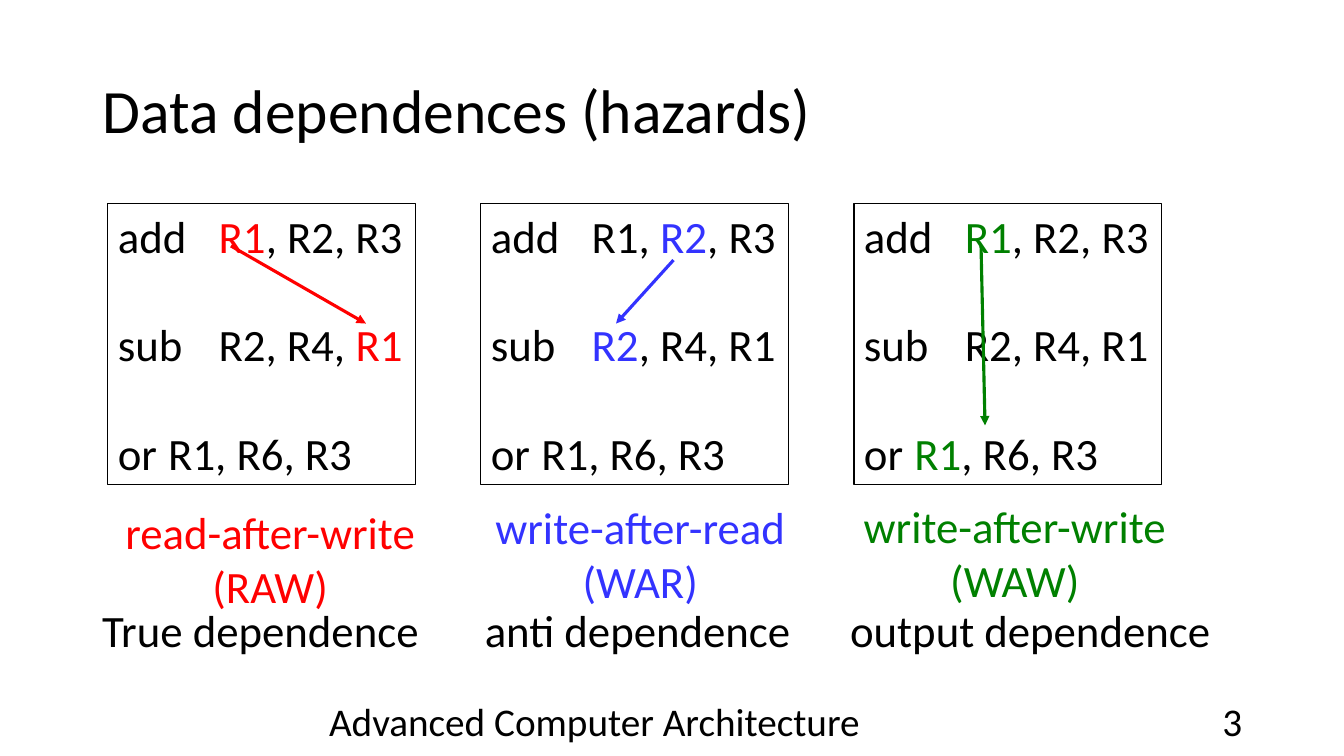
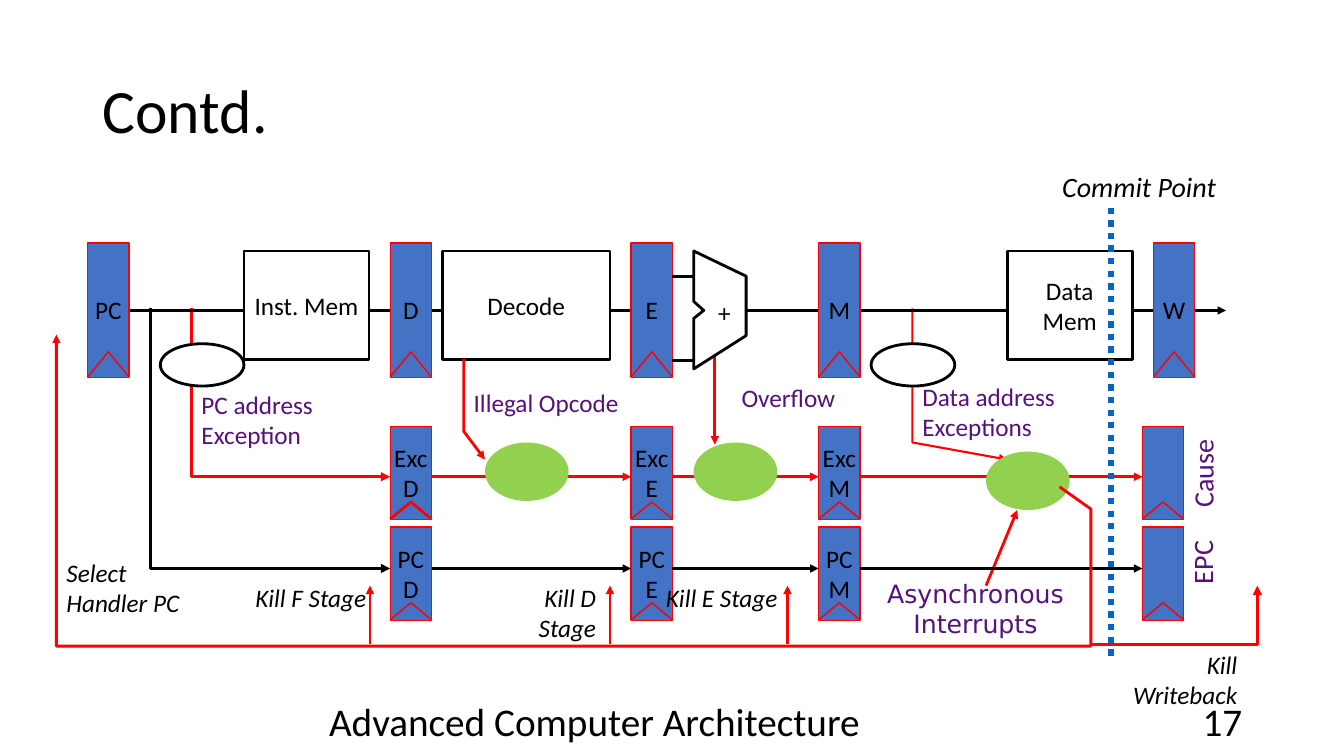
from lxml.etree import SubElement
from pptx import Presentation
from pptx.dml.color import RGBColor
from pptx.enum.dml import MSO_LINE
from pptx.enum.shapes import MSO_CONNECTOR, MSO_SHAPE
from pptx.enum.text import MSO_ANCHOR, PP_ALIGN
from pptx.oxml.ns import qn
from pptx.util import Inches, Pt

HUES = {
    "black": "000000",
    "white": "FFFFFF",
    "red": "FF0000",
    "blue": "3333FF",
    "green": "008000",
    "steel": "4472C4",
    "lime": "92D050",
    "plum": "56127A",
    "commit": "0563C1",
}
SIDES = {"l": PP_ALIGN.LEFT, "c": PP_ALIGN.CENTER, "r": PP_ALIGN.RIGHT}


def put(page, box, text="", size=18, hue="black", side="c", mid=False, wrap=False,
        slant=False, face="Calibri", mark="red", gap=0, kind=None, fill=None,
        edge=None, thick=1):
    spot = [Inches(n) for n in box]
    if kind is None:
        shape = page.shapes.add_textbox(*spot)
    else:
        shape = page.shapes.add_shape(kind, *spot)
        shape.shadow.inherit = False
        if fill:
            shape.fill.solid()
            shape.fill.fore_color.rgb = RGBColor.from_string(HUES[fill])
        else:
            shape.fill.background()
        if edge:
            shape.line.color.rgb = RGBColor.from_string(HUES[edge])
            shape.line.width = Pt(thick)
        else:
            shape.line.fill.background()
    frame = shape.text_frame
    frame.word_wrap = wrap
    frame.vertical_anchor = MSO_ANCHOR.MIDDLE if mid else MSO_ANCHOR.TOP
    frame.text = text.replace("|", "")
    for row, (para, line) in enumerate(zip(frame.paragraphs, text.split("\n"))):
        para.alignment = SIDES[side]
        if row and gap:
            para.space_before = Pt(gap)
        if "|" in line:
            para.clear()
            for piece in line.split("|"):
                para.add_run().text = piece
        for n, run in enumerate(para.runs):
            font = run.font
            font.name, font.size, font.italic = face, Pt(size), slant
            font.color.rgb = RGBColor.from_string(HUES[mark if n % 2 else hue])
    return shape


def draw(page, spots, hue, thick=2, arrow=False, fill=None, close=False, dash=None):
    spots = [(Inches(x), Inches(y)) for x, y in spots]
    if len(spots) == 2:
        shape = page.shapes.add_connector(MSO_CONNECTOR.STRAIGHT, *spots[0], *spots[1])
    else:
        form = page.shapes.build_freeform(*spots[0], scale=1.0)
        form.add_line_segments(spots[1:], close=close)
        shape = form.convert_to_shape()
        if fill:
            shape.fill.solid()
            shape.fill.fore_color.rgb = RGBColor.from_string(HUES[fill])
        else:
            shape.fill.background()
    shape.line.color.rgb = RGBColor.from_string(HUES[hue])
    shape.line.width = Pt(thick)
    if dash:
        shape.line.dash_style = dash
    props = shape.element.spPr
    if arrow:
        SubElement(props.find(qn("a:ln")), qn("a:tailEnd"), type="triangle")
    SubElement(props, qn("a:effectLst"))


deck = Presentation()
deck.slide_width = Inches(13.33)
deck.slide_height = Inches(7.5)
pages = []
for title, number in [("Data dependences (hazards)", "3"), ("Contd.", "17")]:
    page = deck.slides.add_slide(deck.slide_layouts[6])
    head = put(page, (0.92, 0.4, 11.5, 1.45), title, 44, side="l", mid=True, wrap=True)
    head.text_frame.paragraphs[0].line_spacing = 0.9
    put(page, (9.42, 6.95, 3, 0.4), number, 28, side="r", mid=True, wrap=True)
    put(page, (2.87, 6.95, 6.05, 0.4), "Advanced Computer Architecture", 28,
        mid=True, wrap=True)
    pages.append(page)
first, second = pages

cases = [
    ("red", "add\t|R1|, R2, R3\nsub\tR2, R4, |R1\nor\tR1, R6, R3",
     [(2.29, 2.44), (3.63, 3.21)],
     "read-after-write\n(RAW)", (1.12, 4.96, 3.12, 1.18),
     "True dependence", (0.9, 5.93, 3.37, 0.64)),
    ("blue", "add\tR1, |R2|, R3\nsub\t|R2|, R4, R1\nor\tR1, R6, R3",
     [(6.68, 2.58), (6.11, 3.21)],
     "write-after-read\n(WAR)", (4.79, 4.91, 3.12, 1.18),
     "anti dependence", (4.69, 5.93, 3.27, 0.64)),
    ("green", "add\t|R1|, R2, R3\nsub\tR2, R4, R1\nor\t|R1|, R6, R3",
     [(9.73, 2.44), (9.77, 4.22)],
     "write-after-write\n(WAW)", (8.44, 4.9, 3.25, 1.18),
     "output dependence", (8.31, 5.93, 3.82, 0.64)),
]
for n, (hue, code, arrow, label, under, name, base) in enumerate(cases):
    put(first, (1.07 + 3.7 * n, 2.02, 3.05, 2.79), code, 32, side="l", mark=hue,
        gap=39, kind=MSO_SHAPE.RECTANGLE, edge="black", thick=0.75)
    draw(first, arrow, hue, 2.25, True)
    put(first, under, label, 32, hue)
    put(first, base, name, 32)

draw(second, [(9.05, 3.06), (9.05, 4.39), (9.99, 4.56)], "red", 1.5, True)
draw(second, [(1.9, 3.06), (1.9, 4.73), (3.87, 4.73)], "red", 2.25, True)
draw(second, [(7.09, 3.48), (7.09, 4.41)], "red", arrow=True)
draw(second, [(7.4, 3.08), (12.16, 3.08)], "black", arrow=True)
draw(second, [(1.08, 3.08), (6.26, 3.08)], "black")

for left, wide, text in [(2.42, 1.24, "Inst. Mem"), (4.39, 1.66, "Decode"),
                         (9.99, 1.24, "Data\nMem")]:
    put(second, (left, 2.49, wide, 1.08), text, mid=True,
        kind=MSO_SHAPE.RECTANGLE, fill="white", edge="black", thick=2)

wide = 0.41
stages = [(3.87, "D"), (6.26, "E"), (8.12, "M")]
cells = [(left, 2.41, 1.33, 0.25, text)
         for left, text in [(0.87, "PC"), *stages, (11.44, "W")]]
for top, name in [(4.23, "Exc"), (5.23, "PC")]:
    cells += [(left, top, 0.92, 0.17, f"{name}\n{text}") for left, text in stages]
    cells.append((11.33, top, 0.92, 0.17, ""))
for left, top, tall, notch, text in cells:
    put(second, (left, top, wide, tall), text, mid=True,
        kind=MSO_SHAPE.RECTANGLE, fill="steel", edge="red")
    foot = top + tall
    draw(second, [(left, foot), (left + wide / 2, foot - notch), (left + wide, foot)],
         "red", 2 if text == "Exc\nD" else 1, fill="steel")

draw(second, [(6.88, 2.49), (6.88, 2.99), (6.98, 3.08), (6.88, 3.16), (6.88, 3.66),
              (7.4, 3.33), (7.4, 2.74)], "black", fill="white", close=True)
for y in (2.74, 3.58):
    draw(second, [(6.67, y), (6.88, y)], "black")
put(second, (6.99, 2.91, 0.39, 0.37), "+", mid=True)

for left in (8.64, 1.59):
    put(second, (left, 3.41, 0.83, 0.42), kind=MSO_SHAPE.OVAL, fill="white",
        edge="black", thick=2)
for box, text in [((4.6, 3.64, 1.66, 0.7), "Illegal Opcode"),
                  ((9.05, 3.73, 2.49, 0.7), "Data address Exceptions"),
                  ((1.9, 3.81, 2.19, 0.7), "PC address Exception")]:
    put(second, box, text, hue="plum", side="l", mid=True, wrap=True)
put(second, (7.11, 3.74, 1.42, 0.4), "Overflow", hue="plum", mid=True)
put(second, (8.43, 5.69, 2.49, 0.7), "Asynchronous\nInterrupts", hue="plum",
    wrap=True, face="DejaVu Sans")
draw(second, [(4.6, 3.56), (4.6, 4.28), (4.81, 4.56)], "red", arrow=True)
draw(second, [(9.78, 5.81), (10.09, 5.06)], "red", arrow=True)

ends = [left for left, text in stages] + [11.33]
for y, hue in [(4.73, "red"), (5.64, "black")]:
    for start, stop in zip(ends, ends[1:]):
        draw(second, [(start + wide, y), (stop, y)], hue, arrow=True)
draw(second, [(11.02, 2.06), (11.02, 6.56)], "commit", 4.5, dash=MSO_LINE.ROUND_DOT)
for left, top in [(4.81, 4.39), (6.88, 4.39), (9.78, 4.48)]:
    put(second, (left, top, 0.83, 0.58), kind=MSO_SHAPE.OVAL, fill="lime")
for box, text in [((11.42, 4.43, 1.12, 0.54), "Cause"),
                  ((11.66, 5.31, 0.63, 0.54), "EPC")]:
    put(second, box, text, 20, "plum").rotation = 270

draw(second, [(1.49, 3.06), (1.49, 5.64), (3.87, 5.64)], "black", 2.25, True)
draw(second, [(10.51, 4.83), (10.82, 5.05), (10.82, 6.41), (0.56, 6.41), (0.56, 3.32)],
     "red", arrow=True)
draw(second, [(10.82, 6.39), (12.47, 6.39), (12.47, 5.81)], "red", 2.25, True)
for x, left, text in [(3.67, 2.42, "F"), (6.05, 4.7, "D"), (7.81, 6.5, "E")]:
    draw(second, [(x, 6.39), (x, 5.81)], "red", arrow=True)
    put(second, (left, 5.73, 1.31, 0.71), f"Kill {text} Stage", side="r", wrap=True,
        slant=True)
for box, text, size, side in [((0.56, 5.48, 1.51, 1.01), "Select Handler PC", 18, "l"),
                              ((10.82, 6.39, 1.55, 0.71), "Kill Writeback", 18, "r"),
                              ((9.69, 1.63, 2.47, 0.44), "Commit Point", 20, "r")]:
    put(second, box, text, size, side=side, wrap=True, slant=True)

deck.save("out.pptx")
